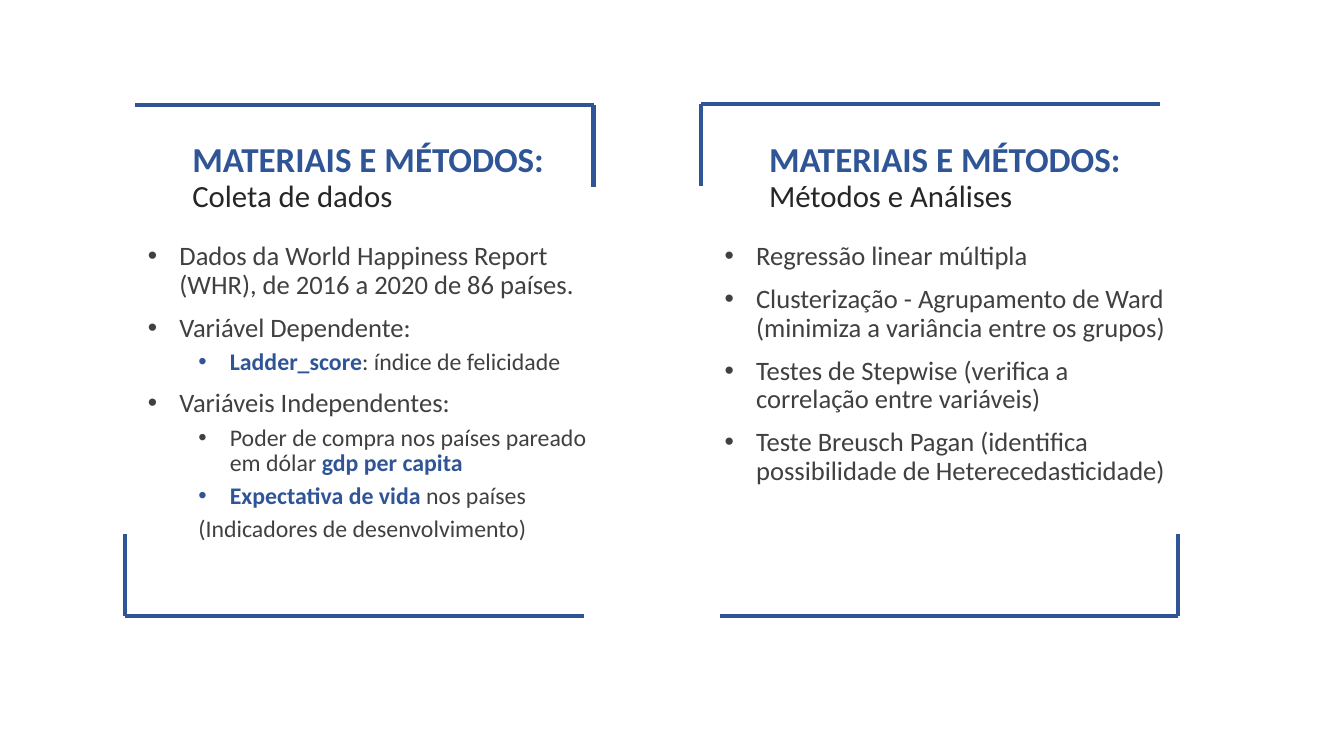
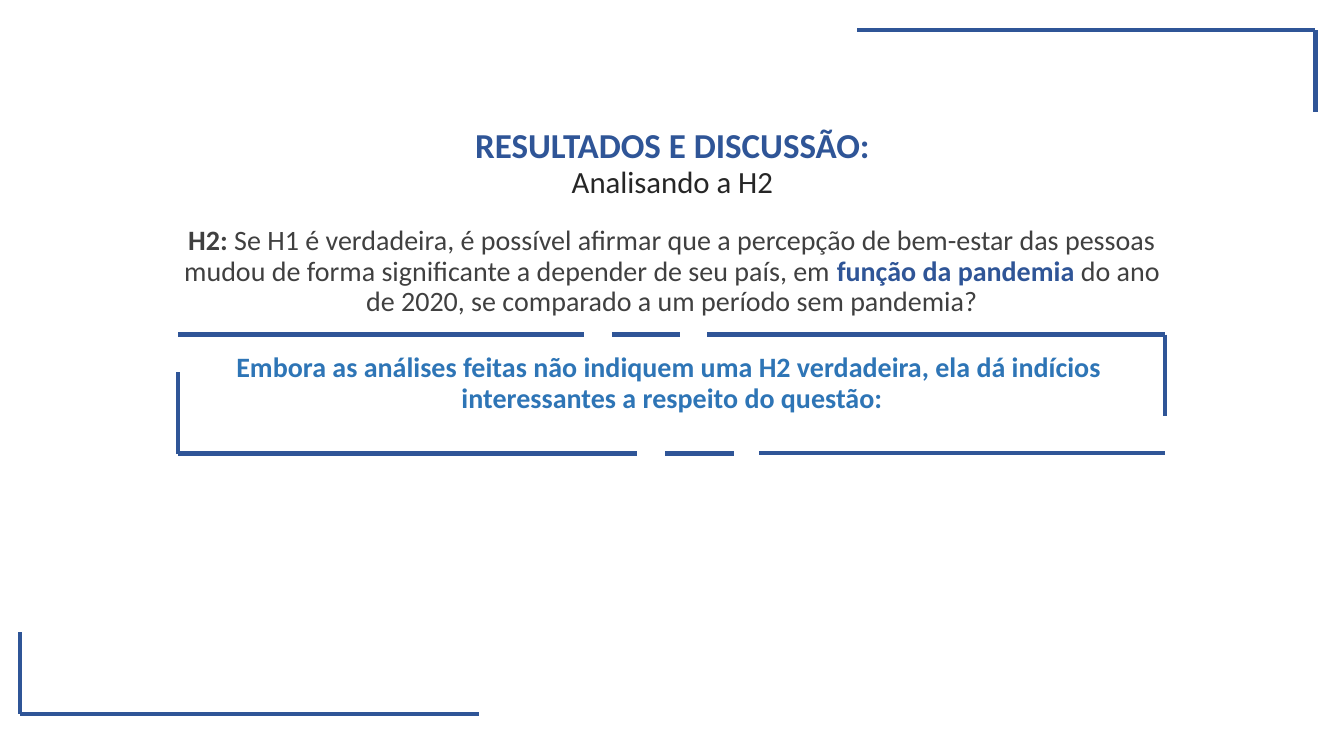
from dataclasses import dataclass

from lxml.etree import SubElement
from pptx import Presentation
from pptx.dml.color import RGBColor as RGB
from pptx.enum.shapes import MSO_CONNECTOR as LINK
from pptx.enum.text import MSO_ANCHOR as ANCHOR, PP_ALIGN as ALIGN
from pptx.oxml.ns import qn
from pptx.util import Pt

BLUE, GREY = "2F5597", "404040"


@dataclass
class Style:
    size: float
    color: str = GREY
    bold: bool = False
    gap: float = 0        # space before
    left: float = 0       # text indent
    hang: float = 0       # bullet hang; 0 means no bullet


@dataclass
class Theme:
    font: str = "Calibri"
    line: str = BLUE
    weight: float = 3
    leading: float = 0.9
    long: float = 327.6   # corner arms
    short: float = 58.5


THEME = Theme()
STYLES = {
    "head": Style(25, BLUE, True),
    "sub": Style(22, "262626"),
    "item": Style(19, gap=10, left=22.5, hang=22.5),
    "detail": Style(17, gap=5, left=58.5, hang=22.5),
    "note": Style(17, gap=5, left=36),
    "prose": Style(20, gap=10),
    "answer": Style(20, "2E75B6", True, gap=10),
}
MARKS = {"strong": GREY, "accent": BLUE}    # bold runs

# Box: left, top, width, height, then paragraphs of style and runs.
# A run is plain text or a pair of text and mark.
# Corner: x, y, then the way its arms run across and down.
# Dash: x from, x to, y.
TITLE_W, TITLE_H = 337, 126
BODY_W, BODY_H = 334, 291
WIDE = 731

METHODS = {
    "align": ALIGN.LEFT,
    "titles": [
        (130.3, 30.2, "MATERIAIS E MÉTODOS:", "Coleta de dados"),
        (542.2, 30.2, "MATERIAIS E MÉTODOS:", "Métodos e Análises"),
    ],
    "boxes": [
        (98.6, 170, BODY_W, BODY_H, [
            ("item", "Dados da World Happiness Report (WHR), de 2016 a 2020 de 86 países."),
            ("item", "Variável Dependente:"),
            ("detail", ("Ladder_score", "accent"), ": índice de felicidade"),
            ("item", "Variáveis Independentes:"),
            ("detail", "Poder de compra nos países pareado em dólar ",
             ("gdp per capita", "accent")),
            ("detail", ("Expectativa de vida ", "accent"), "nos países"),
            ("note", "(Indicadores de desenvolvimento)"),
        ]),
        (510.5, 170, BODY_W, BODY_H, [
            ("item", "Regressão linear múltipla"),
            ("item", "Clusterização - Agrupamento de Ward "
                     "(minimiza a variância entre os grupos)"),
            ("item", "Testes de Stepwise (verifica a correlação entre variáveis)"),
            ("item", "Teste Breusch Pagan (identifica possibilidade de Heterecedasticidade)"),
        ]),
    ],
    "corners": [(89.3, 440, 1, -1), (424, 75, -1, 1),
                (841.7, 440, -1, -1), (501, 74.2, 1, 1)],
    "dashes": [],
}

RESULTS = {
    "align": ALIGN.CENTER,
    "titles": [(311.8, 20.2, "RESULTADOS E DISCUSSÃO:", "Analisando a H2")],
    "boxes": [
        (114.5, 158.4, WIDE, 81, [
            ("prose", ("H2: ", "strong"),
             "Se H1 é verdadeira, é possível afirmar que a percepção de bem-estar "
             "das pessoas mudou de forma significante a depender de seu país, em ",
             ("função da pandemia", "accent"),
             " do ano de 2020, se comparado a um período sem pandemia?"),
        ]),
        (114.5, 249.1, WIDE, 153, [
            ("answer", "Embora as análises feitas não indiquem uma H2 verdadeira, "
                       "ela dá indícios \ninteressantes a respeito do questão:"),
        ]),
    ],
    "corners": [(14.4, 510, 1, -1), (939.6, 21.6, -1, 1),
                (127.4, 324, 1, -1), (832.3, 239, -1, 1)],
    "dashes": [(127.4, 417, 239), (437, 486, 239),
               (475.2, 524, 324), (542.2, 832.3, 323.3)],
}


def add_line(slide, x1, y1, x2, y2):
    line = slide.shapes.add_connector(LINK.STRAIGHT, Pt(x1), Pt(y1), Pt(x2), Pt(y2))
    line.line.color.rgb = RGB.from_string(THEME.line)
    line.line.width = Pt(THEME.weight)
    SubElement(line._element.spPr, qn("a:effectLst"))


def add_corner(slide, x, y, across, down):
    add_line(slide, x, y, x + across * THEME.long, y)
    add_line(slide, x, y, x, y + down * THEME.short)


def set_indent(para, style):
    props = para._p.get_or_add_pPr()
    props.set("marL", str(Pt(style.left)))
    props.set("indent", str(-Pt(style.hang)))
    if style.hang:
        SubElement(props, qn("a:buFont"), typeface="Arial")
        SubElement(props, qn("a:buChar"), char="•")


def add_run(para, text, mark=None):
    for i, part in enumerate(text.split("\n")):
        if i:
            para.add_line_break()
        run = para.add_run()
        run.text = part
        if mark:
            run.font.bold = True
            run.font.color.rgb = RGB.from_string(MARKS[mark])


def fill_para(para, name, runs, align):
    style = STYLES[name]
    set_indent(para, style)
    para.alignment = align
    para.line_spacing = THEME.leading
    para.space_before = Pt(style.gap)
    font = para.font
    font.name, font.size, font.bold = THEME.font, Pt(style.size), style.bold
    font.color.rgb = RGB.from_string(style.color)
    for run in runs:
        add_run(para, *((run,) if isinstance(run, str) else run))


def add_box(slide, x, y, w, h, paras, align, anchor=ANCHOR.TOP):
    frame = slide.shapes.add_textbox(Pt(x), Pt(y), Pt(w), Pt(h)).text_frame
    frame.word_wrap = True
    frame.vertical_anchor = anchor
    for i, (name, *runs) in enumerate(paras):
        para = frame.add_paragraph() if i else frame.paragraphs[0]
        fill_para(para, name, runs, align)


def add_slide(deck, page):
    slide = deck.slides.add_slide(deck.slide_layouts[6])
    align = page["align"]
    for corner in page["corners"]:
        add_corner(slide, *corner)
    for x1, x2, y in page["dashes"]:
        add_line(slide, x1, y, x2, y)
    for x, y, head, sub in page["titles"]:
        add_box(slide, x, y, TITLE_W, TITLE_H, [("head", head), ("sub", sub)],
                align, ANCHOR.BOTTOM)
    for box in page["boxes"]:
        add_box(slide, *box, align)


def main():
    deck = Presentation()
    deck.slide_width, deck.slide_height = Pt(960), Pt(540)
    for page in (METHODS, RESULTS):
        add_slide(deck, page)
    deck.save("out.pptx")


if __name__ == "__main__":
    main()
